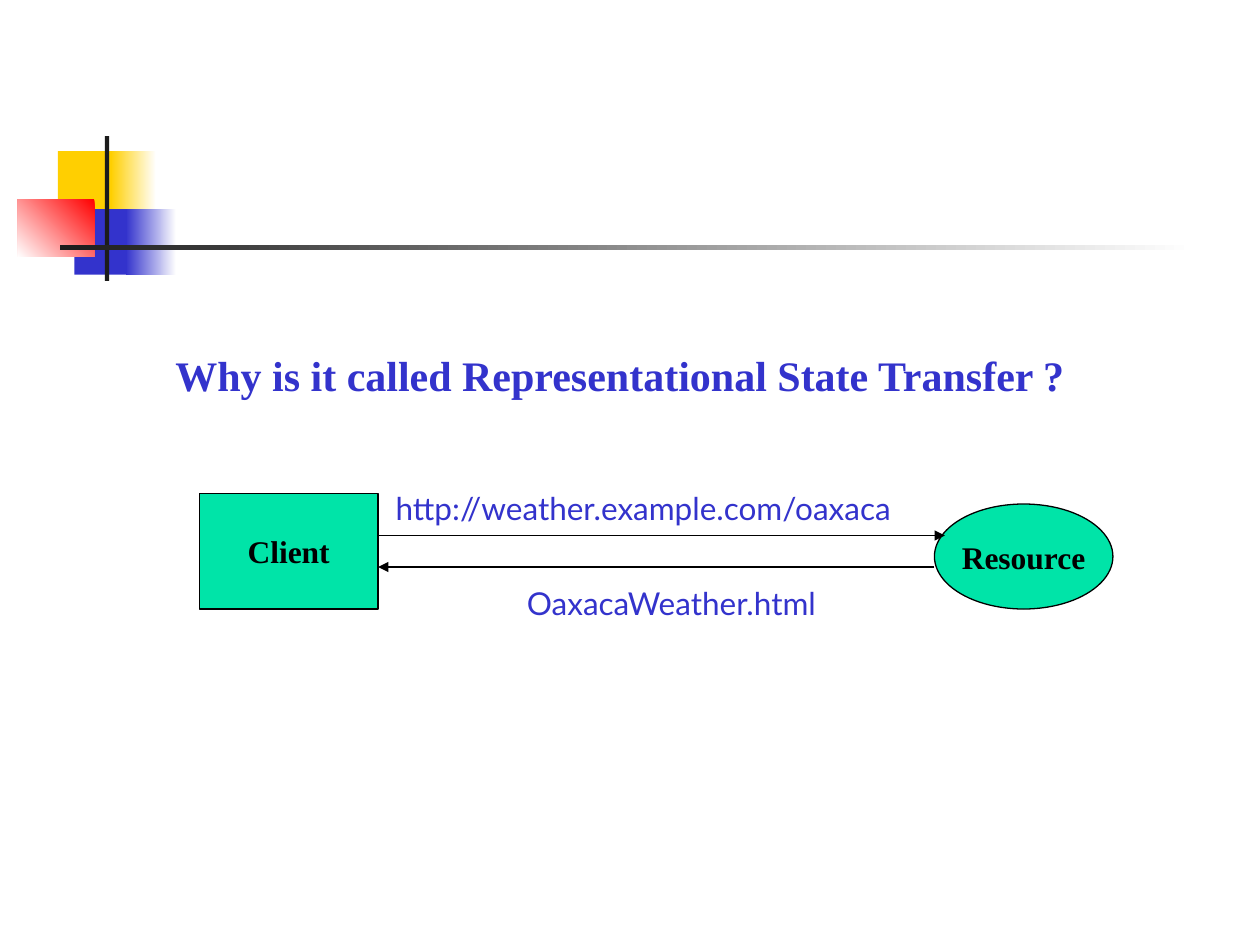
from typing import NamedTuple, Optional

from lxml.etree import SubElement
from pptx import Presentation
from pptx.dml.color import RGBColor
from pptx.enum.shapes import MSO_CONNECTOR as Connector
from pptx.enum.shapes import MSO_SHAPE as Preset
from pptx.enum.text import MSO_ANCHOR as Anchor
from pptx.enum.text import MSO_AUTO_SIZE as AutoSize
from pptx.enum.text import PP_ALIGN as Align
from pptx.oxml.ns import qn
from pptx.util import Pt

WHITE, BLACK, CHARCOAL = "FFFFFF", "000000", "1C1C1C"
YELLOW, BLUE, RED, GREEN = "FFCF01", "3333CC", "FF0000", "00E4A8"
SERIF, SANS = "Times New Roman", "Lato"
LINE_WIDTH = 0.75


class Area(NamedTuple):
    left: float
    top: float
    width: float
    height: float


class Block(NamedTuple):
    area: Area
    color: str
    fade_to: Optional[str] = None
    angle: float = 180


class Node(NamedTuple):
    area: Area
    preset: Preset
    text: str


class Message(NamedTuple):
    start: float
    end: float
    y: float
    label_area: Area
    text: str


DECORATION = [
    Block(Area(33.12, 86.4, 34.56, 37.44), YELLOW),
    Block(Area(63.36, 86.4, 25.92, 37.44), WHITE, YELLOW),
    Block(Area(42.48, 119.52, 33.12, 37.44), BLUE),
    Block(Area(72, 119.52, 28.8, 37.44), WHITE, BLUE),
    Block(Area(10.08, 113.76, 43.92, 33.12), RED, WHITE, 225),
    Block(Area(59.9, 77.76, 2.5, 82.8), CHARCOAL),
    Block(Area(34.56, 140.2, 648, 2.5), WHITE, CHARCOAL),
]
NODES = [
    Node(Area(114, 282, 102, 66), Preset.RECTANGLE, "Client"),
    Node(Area(534, 288, 102, 60), Preset.OVAL, "Resource"),
]
MESSAGES = [
    Message(216, 540, 306, Area(219, 276, 326, 29),
            "http://weather.example.com/oaxaca"),
    Message(534, 216, 324, Area(294, 330, 193, 29), "OaxacaWeather.html"),
]


def rgb(value: str) -> RGBColor:
    return RGBColor.from_string(value)


def points(area: Area) -> list:
    return [Pt(value) for value in area]


def write(box, text: str, font: str, size: float, color: str,
          bold: bool = False, align: Align = Align.LEFT, **frame_format) -> None:
    frame = box.text_frame
    for name, value in frame_format.items():
        setattr(frame, name, value)
    para = frame.paragraphs[0]
    para.alignment = align
    span = para.add_run()
    span.text = text
    for name, value in {"name": font, "size": Pt(size), "bold": bold}.items():
        setattr(span.font, name, value)
    span.font.color.rgb = rgb(color)


def draw_block(page, block: Block) -> None:
    shape = page.shapes.add_shape(Preset.RECTANGLE, *points(block.area))
    shape.shadow.inherit = False
    shape.line.fill.background()
    if block.fade_to is None:
        shape.fill.solid()
        shape.fill.fore_color.rgb = rgb(block.color)
        return
    shape.fill.gradient()
    shape.fill.gradient_angle = block.angle
    for stop, color in zip(shape.fill.gradient_stops, (block.color, block.fade_to)):
        stop.color.rgb = rgb(color)


def draw_node(page, node: Node) -> None:
    shape = page.shapes.add_shape(node.preset, *points(node.area))
    shape.shadow.inherit = False
    shape.fill.solid()
    shape.fill.fore_color.rgb = rgb(GREEN)
    shape.line.color.rgb = rgb(BLACK)
    shape.line.width = Pt(LINE_WIDTH)
    write(shape, node.text, SERIF, 18, BLACK, bold=True, align=Align.CENTER,
          word_wrap=False, vertical_anchor=Anchor.MIDDLE)


def draw_message(page, message: Message) -> None:
    arrow = page.shapes.add_connector(
        Connector.STRAIGHT, Pt(message.start), Pt(message.y),
        Pt(message.end), Pt(message.y))
    arrow.line.color.rgb = rgb(BLACK)
    arrow.line.width = Pt(LINE_WIDTH)
    # Arrowhead at the receiving end, no shadow
    SubElement(arrow.line._get_or_add_ln(), qn("a:tailEnd"), type="triangle")
    SubElement(arrow._element.spPr, qn("a:effectLst"))

    label = page.shapes.add_textbox(*points(message.label_area))
    write(label, message.text, SANS, 18, BLUE,
          word_wrap=False, auto_size=AutoSize.SHAPE_TO_FIT_TEXT)


def set_title(page, area: Area, text: str) -> None:
    title = page.shapes.title
    for name, value in zip(Area._fields, points(area)):
        setattr(title, name, value)
    write(title, text, SERIF, 24, BLUE, bold=True, word_wrap=True,
          auto_size=AutoSize.NONE, vertical_anchor=Anchor.TOP, margin_top=Pt(41))


def main() -> None:
    deck = Presentation()
    deck.slide_width, deck.slide_height = Pt(720), Pt(540)
    page = deck.slides.add_slide(deck.slide_layouts[5])

    # Corner ornament and rule
    for block in DECORATION:
        draw_block(page, block)

    # Heading
    set_title(page, Area(93, 159, 612, 324),
              "Why is it called Representational State Transfer ?")

    # Request and response diagram
    for node in NODES:
        draw_node(page, node)
    for message in MESSAGES:
        draw_message(page, message)

    deck.save("out.pptx")


if __name__ == "__main__":
    main()
